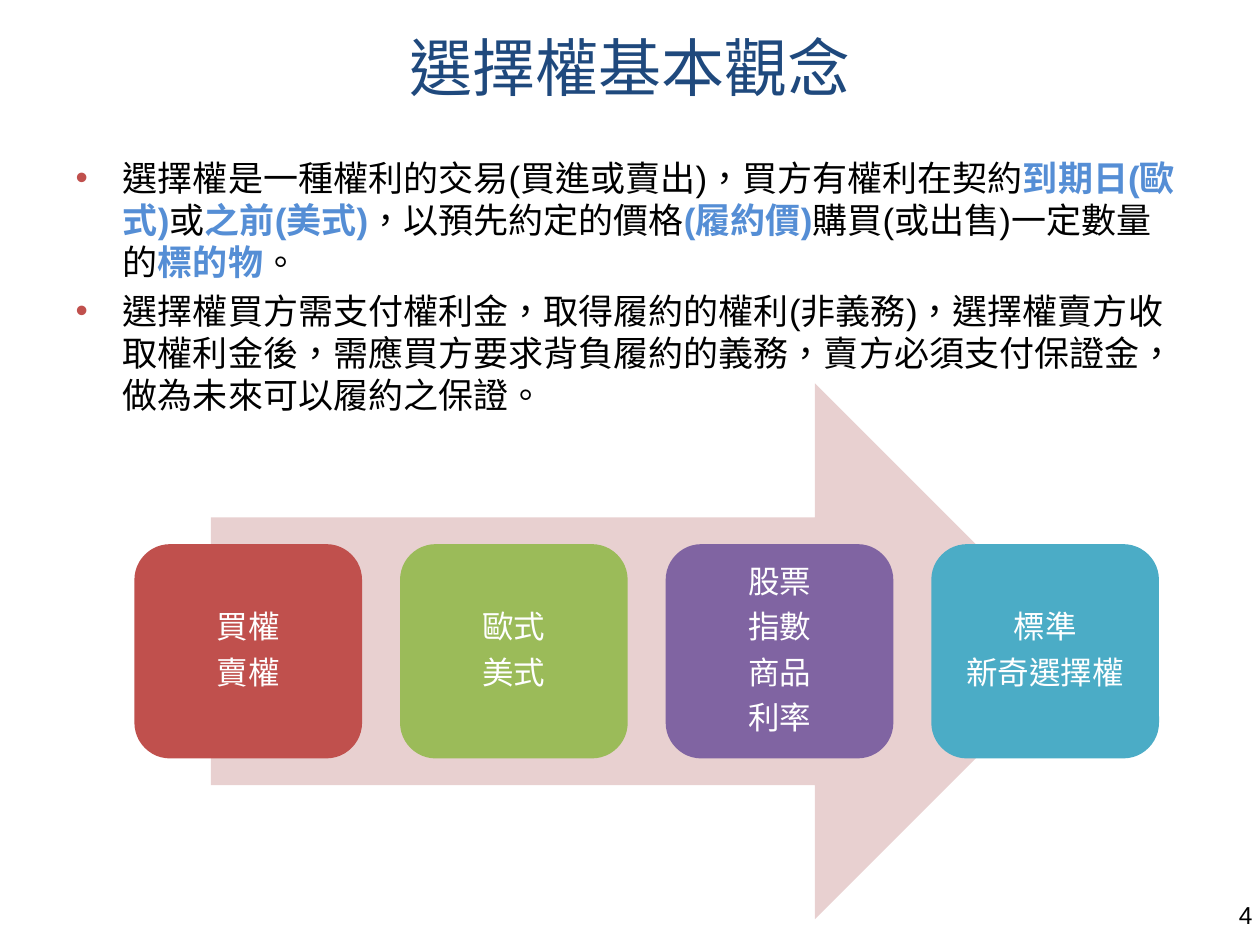
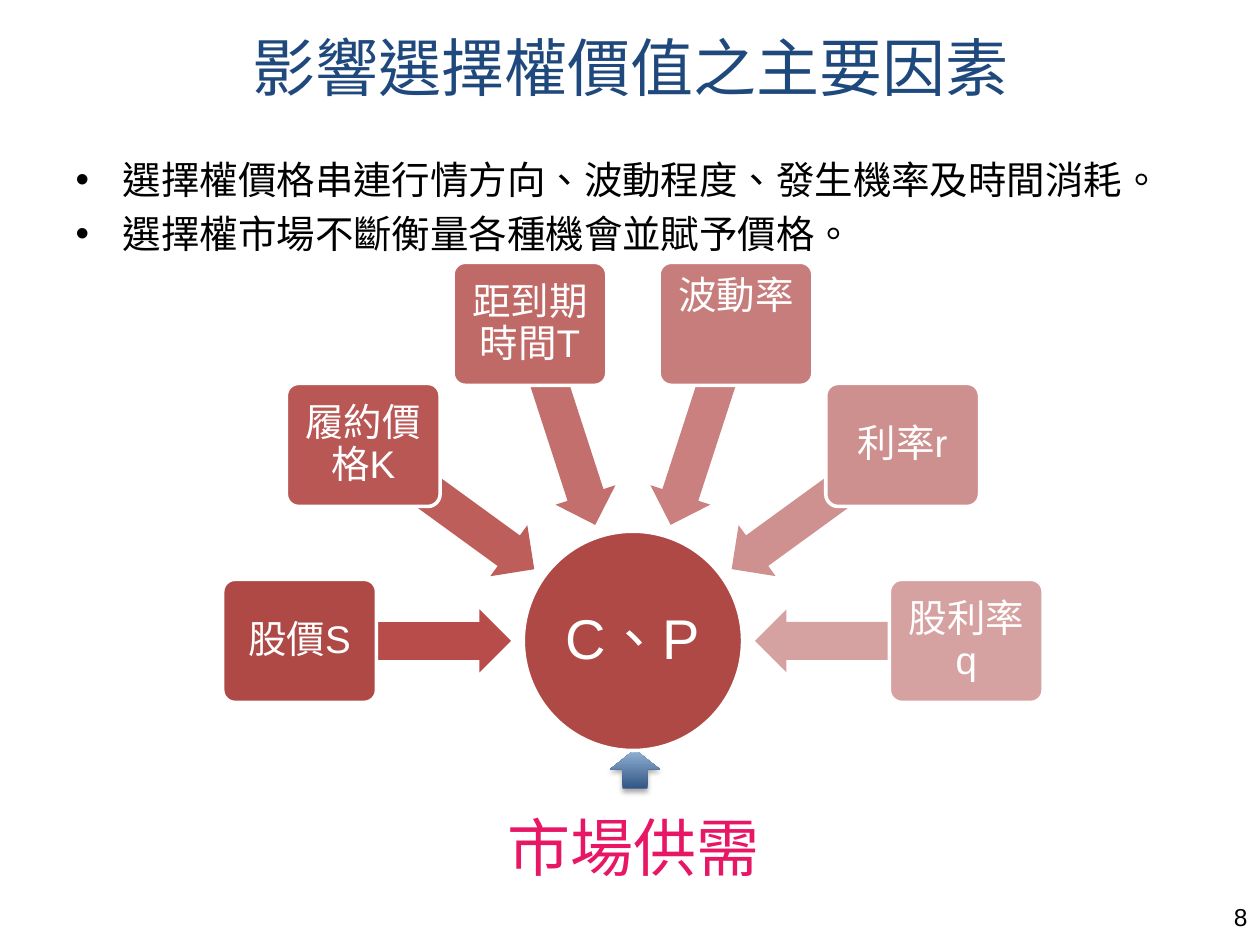
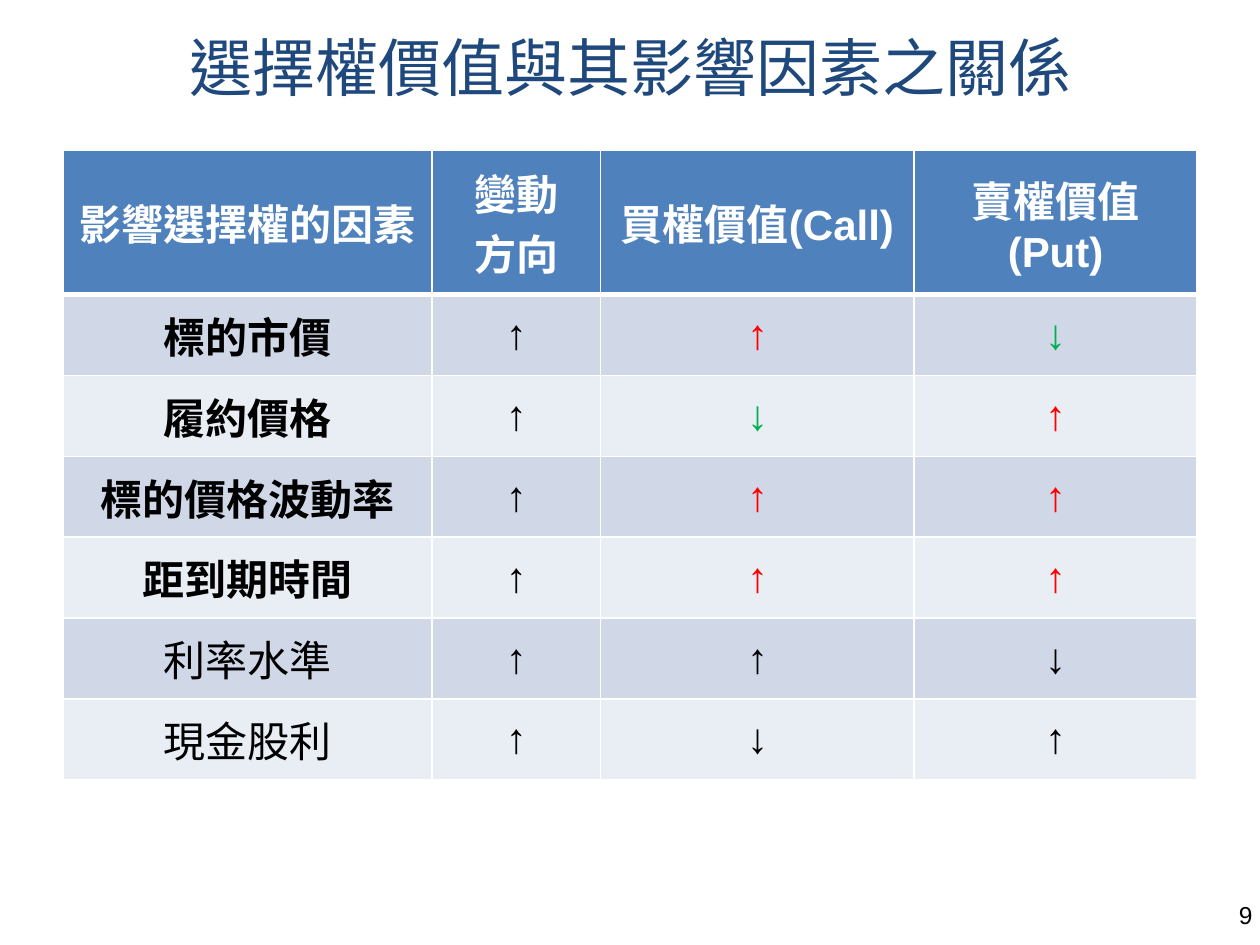
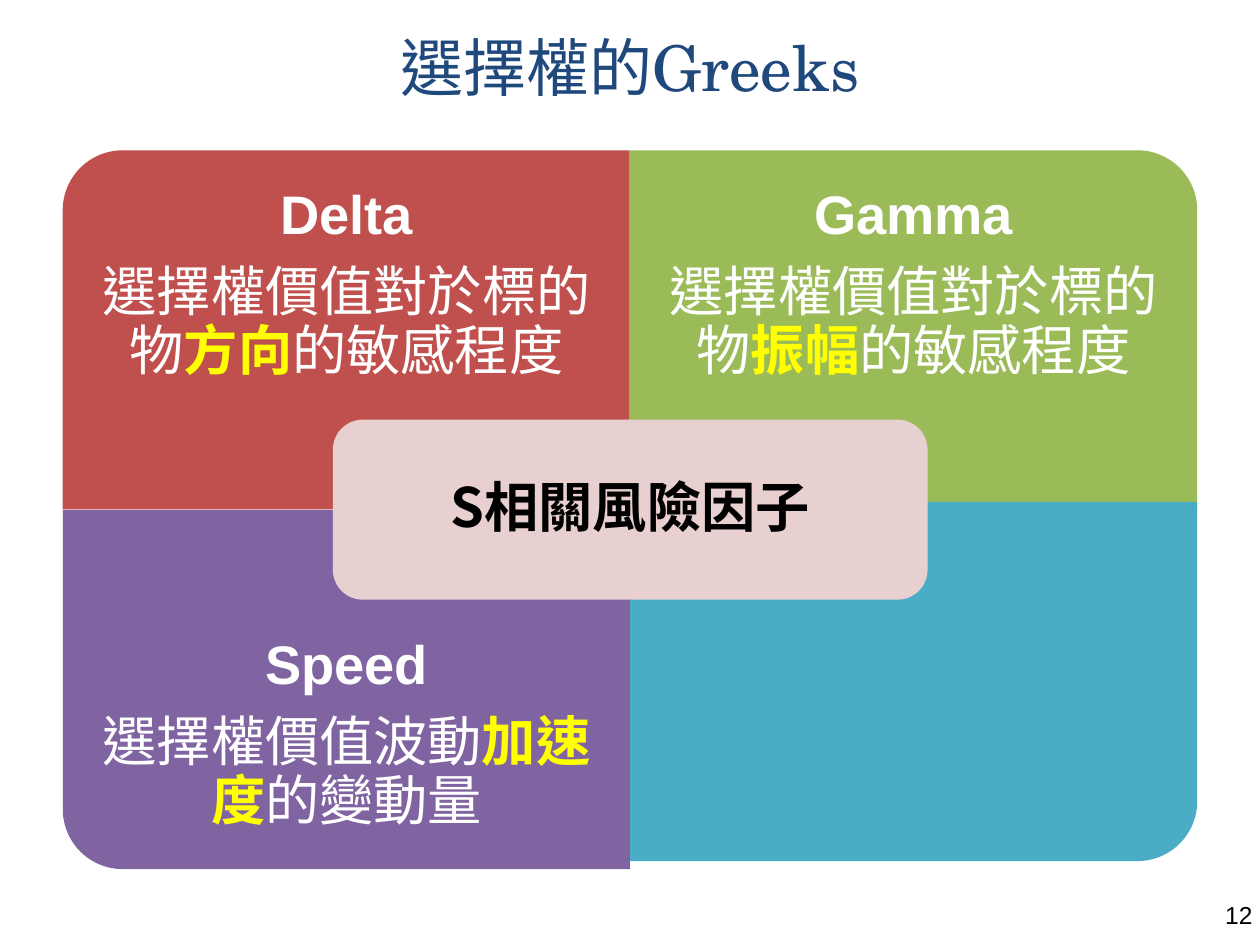
from math import cos, radians, sin

from lxml.etree import SubElement
from pptx import Presentation
from pptx.dml.color import RGBColor
from pptx.enum.shapes import MSO_SHAPE
from pptx.enum.text import MSO_ANCHOR, MSO_AUTO_SIZE, PP_ALIGN
from pptx.oxml.ns import qn
from pptx.util import Cm, Pt

CJK = "Noto Sans CJK SC"
NAVY, BLACK, WHITE = "1F497D", "000000", "FFFFFF"
RED, GREEN, PURPLE, TEAL = "C0504D", "9BBB59", "8064A2", "4BACC6"
PINK, SKY, YELLOW = "E8D0D0", "558ED5", "FFFF00"
UP, DOWN = "FF0000", "00B050"
MID, LEFT, RIGHT = PP_ALIGN.CENTER, PP_ALIGN.LEFT, PP_ALIGN.RIGHT


def rgb(code):
    return RGBColor.from_string(code)


def write(frame, text, size=18, font="Arial", color=WHITE, bold=False, mark=None,
          align=MID, line=None, before=None, after=None, bullet=None):
    """Add one paragraph per line; parts between asterisks are bold in the mark colour."""
    for row in text.split("\n"):
        para = frame.paragraphs[-1]
        if para.runs:
            para = frame.add_paragraph()
        para.alignment = align
        if line:
            para.line_spacing = line
        if before is not None:
            para.space_before = Pt(before)
        if after is not None:
            para.space_after = Pt(after)
        if bullet:
            tint = SubElement(para._p.get_or_add_pPr(), qn("a:buClr"))
            SubElement(tint, qn("a:srgbClr"), val=bullet)
        for i, part in enumerate(row.split("*")):
            if not part:
                continue
            run = para.add_run()
            run.text = part
            run.font.size = Pt(size)
            run.font.name = font
            run.font.bold = bold or i % 2 == 1
            run.font.color.rgb = rgb(mark if i % 2 else color)
            props = run._r.get_or_add_rPr()
            props.set("lang", "zh-TW")
            SubElement(props, qn("a:ea"), typeface=CJK)


def node_text(frame, text, size, **kw):
    """Write centred diagram text with its tight lines."""
    write(frame, text, size=size, line=0.9, after=round(0.35 * size, 1), **kw)


def place(item, x, y, w, h):
    item.left, item.top, item.width, item.height = Cm(x), Cm(y), Cm(w), Cm(h)


def set_frame(frame, inset=None, anchor=MSO_ANCHOR.MIDDLE, wrap=True):
    frame.word_wrap = wrap
    frame.auto_size = MSO_AUTO_SIZE.NONE
    frame.vertical_anchor = anchor
    if inset is not None:
        frame.margin_left = frame.margin_right = Cm(inset)
        frame.margin_top = frame.margin_bottom = Cm(inset)
    return frame


def add_box(slide, x, y, w, h, **kw):
    box = slide.shapes.add_textbox(Cm(x), Cm(y), Cm(w), Cm(h))
    return set_frame(box.text_frame, **kw)


def add_shape(slide, kind, x, y, w, h, fill, edge=None, turn=0, adj=()):
    shape = slide.shapes.add_shape(kind, Cm(x), Cm(y), Cm(w), Cm(h))
    shape.shadow.inherit = False
    shape.fill.solid()
    shape.fill.fore_color.rgb = rgb(fill)
    if edge:
        shape.line.color.rgb = rgb(edge)
        shape.line.width = Pt(2)
    else:
        shape.line.fill.background()
    shape.rotation = turn
    for i, value in enumerate(adj):
        shape.adjustments[i] = value
    return shape


def add_mid(slide, kind, cx, cy, w, h, fill, **kw):
    """Add a shape by its centre."""
    return add_shape(slide, kind, cx - w / 2, cy - h / 2, w, h, fill, **kw)


def add_page(deck, title, number, layout=5, font=CJK, spot=(19.58, 18.01)):
    slide = deck.slides.add_slide(deck.slide_layouts[layout])
    head = slide.shapes.title
    place(head, 1.27, 0.33, 22.86, 2.01)
    write(set_frame(head.text_frame), title, size=36, font=font, color=NAVY)
    foot = add_box(slide, *spot, 5.92, 1.04, anchor=MSO_ANCHOR.TOP)
    write(foot, str(number), size=14, color=BLACK, align=RIGHT)
    return slide


def add_list(slide, text, height, **kw):
    body = slide.placeholders[1]
    place(body, 1.27, 3.02, 22.86, height)
    frame = set_frame(body.text_frame, anchor=MSO_ANCHOR.TOP)
    write(frame, text, color=BLACK, align=LEFT, **kw)


def basics(deck):
    slide = add_page(deck, "選擇權基本觀念", 4, layout=1)
    add_list(slide, "選擇權是一種權利的交易(買進或賣出)，買方有權利在契約*到期日(歐式)*或"
             "*之前(美式)*，以預先約定的價格*(履約價)*購買(或出售)一定數量的*標的物*。\n"
             "選擇權買方需支付權利金，取得履約的權利(非義務)，選擇權賣方收取權利金後，"
             "需應買方要求背負履約的義務，賣方必須支付保證金，做為未來可以履約之保證。",
             5.69, size=20, mark=SKY, bullet=RED)
    add_shape(slide, MSO_SHAPE.RIGHT_ARROW, 4.25, 7.73, 17.58, 10.8, PINK)
    kinds = [("買權\n賣權", RED), ("歐式\n美式", GREEN),
             ("股票\n指數\n商品\n利率", PURPLE), ("標準\n新奇選擇權", TEAL)]
    for i, (text, fill) in enumerate(kinds):
        card = add_shape(slide, MSO_SHAPE.ROUNDED_RECTANGLE,
                         2.71 + 5.355 * i, 10.97, 4.59, 4.32, fill)
        node_text(set_frame(card.text_frame, inset=0.4), text, 18, font=CJK)


def add_push(slide):
    """Add the shaded arrow that rises to the hub."""
    push = add_shape(slide, MSO_SHAPE.UP_ARROW, 12.3, 15.11, 1, 0.79, SKY)
    push.fill.gradient()
    push.fill.gradient_angle = 90
    for stop, code in zip(push.fill.gradient_stops, ("315683", "95B3D7")):
        stop.color.rgb = rgb(code)
    effects = push._element.spPr.find(qn("a:effectLst"))
    shade = SubElement(effects, qn("a:outerShdw"), blurRad=str(Pt(3.1)),
                       dist=str(Pt(1.8)), dir="5400000", rotWithShape="0")
    tint = SubElement(shade, qn("a:srgbClr"), val=BLACK)
    SubElement(tint, qn("a:alpha"), val="35000")


def factors(deck):
    slide = add_page(deck, "影響選擇權價值之主要因素", 8, layout=1, spot=(19.48, 18.06))
    add_list(slide, "選擇權價格串連行情方向、波動程度、發生機率及時間消耗。\n"
             "選擇權市場不斷衡量各種機會並賦予價格。", 2.49, size=22, font=CJK)
    label = add_box(slide, 10.57, 16.18, 4.39, 1.55, wrap=False, anchor=MSO_ANCHOR.TOP)
    write(label, "市場供需", size=36, font=CJK, color="E81766")
    add_push(slide)
    cx, cy = 12.76, 12.92
    hub = add_mid(slide, MSO_SHAPE.OVAL, cx, cy, 4.42, 4.42, "AE4946", edge=WHITE)
    node_text(set_frame(hub.text_frame, inset=0.05), "C、P", 32)
    nodes = [("股價S", "AE4946", "B74C4A"), ("履約價格K", "B95755", "BD5E5B"),
             ("距到期時間T", "C06A68", "C36F6D"), ("波動率", "C77D7C", "C9807E"),
             ("利率r", "CE908F", "CF9190"), ("股利率q", "D6A2A1", "D6A1A1")]
    for i, (text, fill, tone) in enumerate(nodes):
        turn = 180 + 36 * i
        dx, dy = cos(radians(turn)), sin(radians(turn))
        add_mid(slide, MSO_SHAPE.LEFT_ARROW, cx + 4.58 * dx, cy + 4.58 * dy,
                4.24, 1.27, tone, turn=turn % 360, adj=(0.6, 0.5))
        card = add_mid(slide, MSO_SHAPE.ROUNDED_RECTANGLE, cx + 6.72 * dx, cy + 6.72 * dy,
                       3.1, 2.48, fill, edge=WHITE, adj=(0.1,))
        anchor = MSO_ANCHOR.TOP if text == "波動率" else MSO_ANCHOR.MIDDLE
        node_text(set_frame(card.text_frame, inset=0.2, anchor=anchor), text, 22)


def set_cell(cell, fill, base):
    """Fill a cell and draw its white borders, the lower one base points wide."""
    cell.vertical_anchor = MSO_ANCHOR.MIDDLE
    props = cell._tc.get_or_add_tcPr()
    for side, width in (("L", 1), ("R", 1), ("T", 1), ("B", base)):
        edge = SubElement(props, qn(f"a:ln{side}"), w=str(Pt(width)))
        SubElement(SubElement(edge, qn("a:solidFill")), qn("a:srgbClr"), val=WHITE)
    cell.fill.solid()
    cell.fill.fore_color.rgb = rgb(fill)


def effects(deck):
    slide = add_page(deck, "選擇權價值與其影響因素之關係", 9, font="Times New Roman")
    heads = ["影響選擇權的因素", "變動\n方向", "買權價值(Call)", "賣權價值(Put)"]
    rows = [("標的市價", "↑↑↓"), ("履約價格", "↑↓↑"), ("標的價格波動率", "↑↑↑"),
            ("距到期時間", "↑↑↑"), ("利率水準", "↑↑↓"), ("現金股利", "↑↓↑")]
    table = slide.shapes.add_table(len(rows) + 1, len(heads), Cm(1.27), Cm(3.02),
                                   Cm(22.86), Cm(12.7)).table
    for col, width in zip(table.columns, (7.44, 3.4, 6.32, 5.7)):
        col.width = Cm(width)
    for i, row in enumerate(table.rows):
        row.height = Cm(1.63 if i else 2.92)
    for j, text in enumerate(heads):
        cell = table.cell(0, j)
        set_cell(cell, "4F81BD", 3)
        write(cell.text_frame, text, size=24, bold=True)
    for i, (name, signs) in enumerate(rows, 1):
        main_row = i <= 4
        for j, text in enumerate([name, *signs]):
            cell = table.cell(i, j)
            set_cell(cell, "D0D8E8" if i % 2 else "E9EDF4", 3 if i == 0 else 1)
            color = BLACK
            if main_row and j > 1:
                color = UP if text == "↑" else DOWN
            write(cell.text_frame, text, size=24, color=color, bold=main_row,
                  before=4.8 if j else 0)


def greeks(deck):
    slide = add_page(deck, "選擇權的Greeks", 12, font="TeX Gyre Schola")
    wide, high = 11.43, 7.24
    quads = [(6.98, 6.65, 270, RED), (18.42, 6.65, 0, GREEN),
             (6.98, 13.9, 180, PURPLE), (18.42, 13.74, 90, TEAL)]
    for cx, cy, turn, fill in quads:
        w, h = (high, wide) if turn % 180 else (wide, high)
        add_mid(slide, MSO_SHAPE.ROUND_1_RECTANGLE, cx, cy, w, h, fill, turn=turn)
    notes = [(1.27, 3.02, "Delta", "選擇權價值對於標的物*方向*的敏感程度"),
             (12.7, 3.02, "Gamma", "選擇權價值對於標的物*振幅*的敏感程度"),
             (1.27, 12.09, "Speed", "選擇權價值波動*加速度*的變動量")]
    for x, y, name, text in notes:
        frame = add_box(slide, x, y, wide, 5.44, inset=0.61)
        node_text(frame, name, 31, bold=True)
        node_text(frame, text, 31, mark=YELLOW)
    plate = add_shape(slide, MSO_SHAPE.ROUNDED_RECTANGLE, 6.71, 8.46, 11.99, 3.63, PINK)
    node_text(set_frame(plate.text_frame, inset=0.5), "S相關風險因子", 31,
              font=CJK, color=BLACK, bold=True)


def main():
    deck = Presentation()
    deck.slide_width, deck.slide_height = Cm(25.4), Cm(19.05)
    for build in (basics, factors, effects, greeks):
        build(deck)
    deck.save("out.pptx")


if __name__ == "__main__":
    main()
